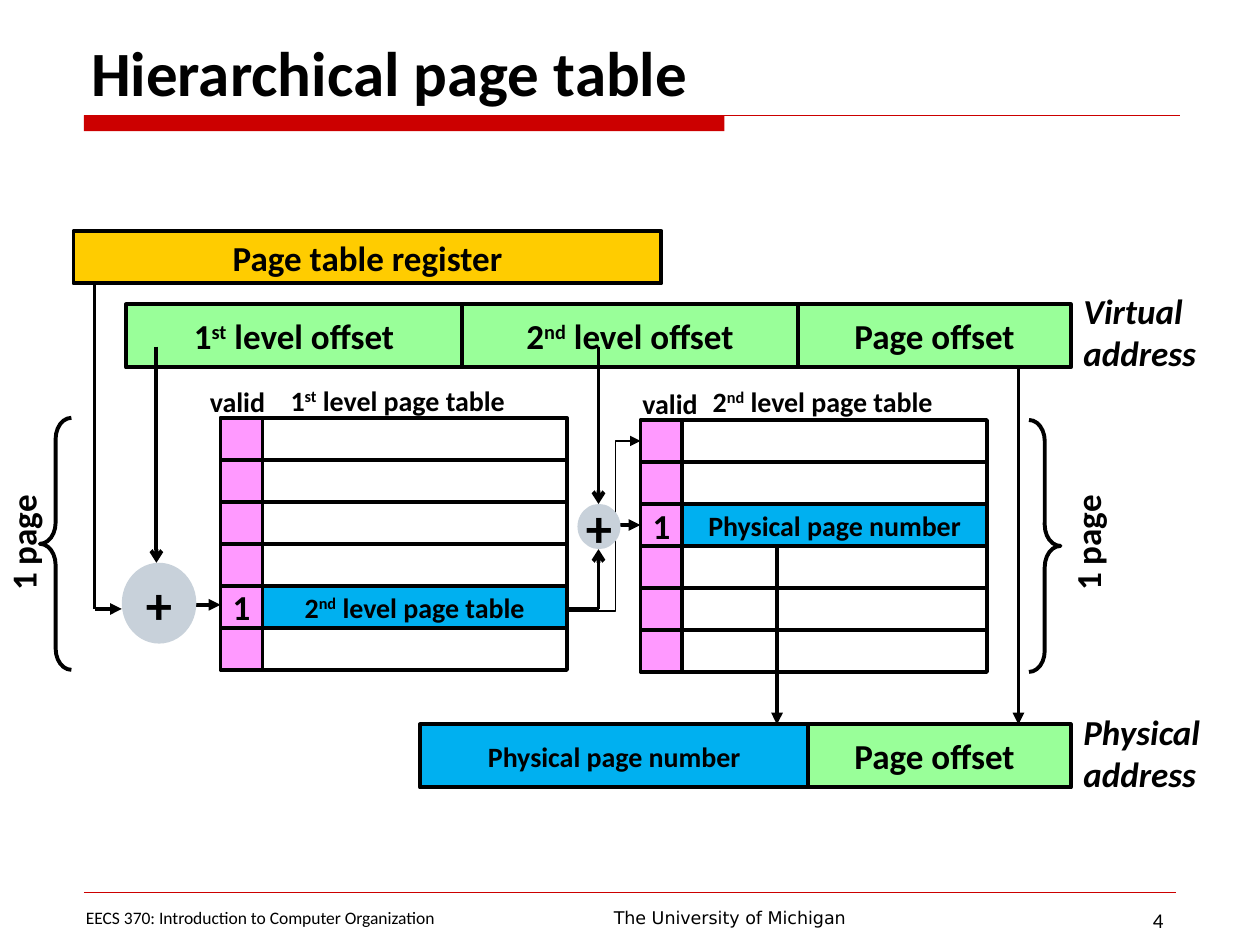
from dataclasses import dataclass
from lxml.etree import SubElement
from pptx import Presentation
from pptx.dml.color import RGBColor as Rgb
from pptx.enum.shapes import MSO_CONNECTOR as Link, MSO_SHAPE as Form
from pptx.enum.text import MSO_ANCHOR as Anchor, MSO_AUTO_SIZE as Fit, PP_ALIGN as Align
from pptx.oxml.ns import qn
from pptx.util import Inches, Pt


@dataclass(frozen=True)
class Theme:
    ink: str = "000000"
    red: str = "CC0000"
    gold: str = "FFCC00"
    green: str = "99FF99"
    blue: str = "00B0F0"
    pink: str = "FF99FF"
    gray: str = "C8D1DA"
    font: str = "Calibri"
    sans: str = "DejaVu Sans"
    title: int = 36
    plus: int = 30
    large: int = 20
    mid: int = 16
    page: int = 12
    small: int = 10
    thick: float = 2.25
    thin: float = 0.75
    hair: float = 0.25


class Board:
    COLS, ROWS = 120, 90

    def __init__(self, deck, theme):
        self.theme = theme
        self.slide = deck.slides.add_slide(deck.slide_layouts[6])
        self.shapes = self.slide.shapes
        self.unit = deck.slide_width / self.COLS, deck.slide_height / self.ROWS

    def place(self, *spots):
        return [round(v * self.unit[i % 2]) for i, v in enumerate(spots)]

    def words(self, frame, text, size, align, bold=True, slant=False, font=None):
        for i, line in enumerate(text.split("\n")):
            para = frame.paragraphs[0] if i == 0 else frame.add_paragraph()
            para.alignment = align
            for j, part in enumerate(line.split("^")):
                if not part:
                    continue
                run = para.add_run()
                run.text = part
                face = run.font
                face.name, face.size = font or self.theme.font, Pt(size)
                face.bold, face.italic = bold, slant
                face.color.rgb = Rgb.from_string(self.theme.ink)
                if j % 2:
                    run._r.get_or_add_rPr().set("baseline", "30000")

    def shape(self, form, box, fill=None, text="", size=None, edge=True):
        item = self.shapes.add_shape(form, *self.place(*box))
        item.shadow.inherit = False
        if fill:
            item.fill.solid()
            item.fill.fore_color.rgb = Rgb.from_string(fill)
        else:
            item.fill.background()
        if edge:
            item.line.color.rgb = Rgb.from_string(self.theme.ink)
            item.line.width = Pt(self.theme.thick)
        else:
            item.line.fill.background()
        if text:
            frame = item.text_frame
            frame.word_wrap, frame.vertical_anchor = False, Anchor.MIDDLE
            self.words(frame, text, size or self.theme.large, Align.CENTER)
        return item

    def cell(self, *box, **look):
        return self.shape(Form.RECTANGLE, box, **look)

    def sum(self, *box):
        self.shape(Form.OVAL, box, self.theme.gray, "+", self.theme.plus, False)

    def brace(self, form, x, y):
        self.shape(form, (x, y, 3, 24)).adjustments[0] = 0.67

    def label(self, text, box, size, align=Align.LEFT, wrap=False,
              anchor=Anchor.TOP, turn=0, **style):
        item = self.shapes.add_textbox(*self.place(*box))
        item.rotation = turn
        frame = item.text_frame
        frame.word_wrap, frame.vertical_anchor = wrap, anchor
        frame.auto_size = Fit.NONE if wrap else Fit.SHAPE_TO_FIT_TEXT
        self.words(frame, text, size, align, **style)

    def line(self, *ends, tip=None, color=None, width=None, bend=None):
        kind = Link.ELBOW if bend else Link.STRAIGHT
        item = self.shapes.add_connector(kind, *self.place(*ends))
        item.line.color.rgb = Rgb.from_string(color or self.theme.ink)
        item.line.width = Pt(width or self.theme.thick)
        props = item._element.spPr
        SubElement(props, qn("a:effectLst"))
        if tip:
            SubElement(props.find(qn("a:ln")), qn("a:tailEnd"), type=tip)
        if bend:
            guides = props.find(qn("a:prstGeom")).get_or_add_avLst()
            SubElement(guides, qn("a:gd"), name="adj1", fmla=f"val {round(bend * 100000)}")

    def table(self, x, y, hit, text, shift):
        t = self.theme
        for row in range(6):
            top, on = y + 4 * row, row == hit
            self.cell(x, top, 4, 4, fill=t.pink, text="1" if on else "")
            self.cell(x + 4, top, 29, 4, fill=t.blue if on else None,
                      text=text if on else "", size=t.mid)
        self.label("valid", (x + shift, y - 3.8, 7.8, 4.4), t.mid)


def draw(board):
    t = board.theme
    first, second = "1^st^ level", "2^nd^ level"
    number = "Physical page number"

    board.cell(8, 11, 61, 1.5, fill=t.red, edge=False)
    board.line(8, 11, 112.4, 11, color=t.red, width=t.thin)
    board.line(8, 85, 112, 85, color=t.red, width=t.hair)
    board.label("Hierarchical page table", (7.5, 0, 105, 11), t.title,
                wrap=True, anchor=Anchor.BOTTOM)

    board.cell(7, 22, 56, 5, fill=t.gold, text="Page table register")
    board.cell(44, 29, 32, 6, fill=t.green, text=second + " offset")
    for x, y in (76, 29), (76, 69):
        board.cell(x, y, 26, 6, fill=t.green, text="Page offset")
    board.cell(12, 29, 32, 6, fill=t.green, text=first + " offset")
    board.line(97, 35, 97, 69, tip="triangle")
    board.line(74, 52, 74, 69, tip="triangle")
    board.cell(40, 69, 37, 6, fill=t.blue, text=number, size=t.mid)
    board.label("Virtual\naddress", (102, 27, 13.2, 9.2), t.large, slant=True)
    board.label("Physical\naddress", (102, 67.1, 14.4, 9.2), t.large, slant=True)

    board.table(21, 39.8, 4, second + " page table", -2.2)
    board.label(first + " page table", (26.5, 35.9, 23.3, 4.4), t.mid)
    board.line(54, 58, 57, 58)
    board.line(57, 58, 57, 52.3, tip="arrow")
    board.line(57, 33, 57, 48, tip="arrow")
    board.line(56, 50, 61, 50, tip="triangle")
    board.table(61, 40, 2, number, -1)
    board.label(second + " page table", (66.7, 36, 23.9, 4.4), t.mid)

    board.brace(Form.LEFT_BRACE, 3.8, 39.8)
    board.brace(Form.RIGHT_BRACE, 98, 40)
    for x in -3.6, 97.8:
        board.label("1 page", (x, 49, 11.6, 5.3), t.large, turn=270)

    board.line(9, 27, 9, 58)
    board.line(14.9, 33, 14.9, 53.6, tip="arrow")
    board.line(18.5, 57.6, 21, 57.6, tip="triangle")
    board.sum(11.6, 53.6, 7.1, 7.7)
    board.line(9, 58, 11.6, 58, tip="triangle")
    board.line(54, 58.2, 61, 42, tip="triangle", width=t.thin, bend=0.66)
    board.sum(55, 48, 4.1, 4.3)

    board.label("EECS 370: Introduction to Computer Organization",
                (7, 85.8, 37, 6.2), t.small, wrap=True, bold=False)
    board.label("The University of Michigan", (47, 85.8, 45, 3.2), t.small,
                Align.CENTER, wrap=True, bold=False, font=t.sans)
    board.label("4", (92, 85.8, 20, 6.2), t.page, Align.RIGHT, wrap=True, bold=False)


def main():
    deck = Presentation()
    deck.slide_width, deck.slide_height = Inches(10), Inches(7.5)
    draw(Board(deck, Theme()))
    deck.save("out.pptx")


if __name__ == "__main__":
    main()
